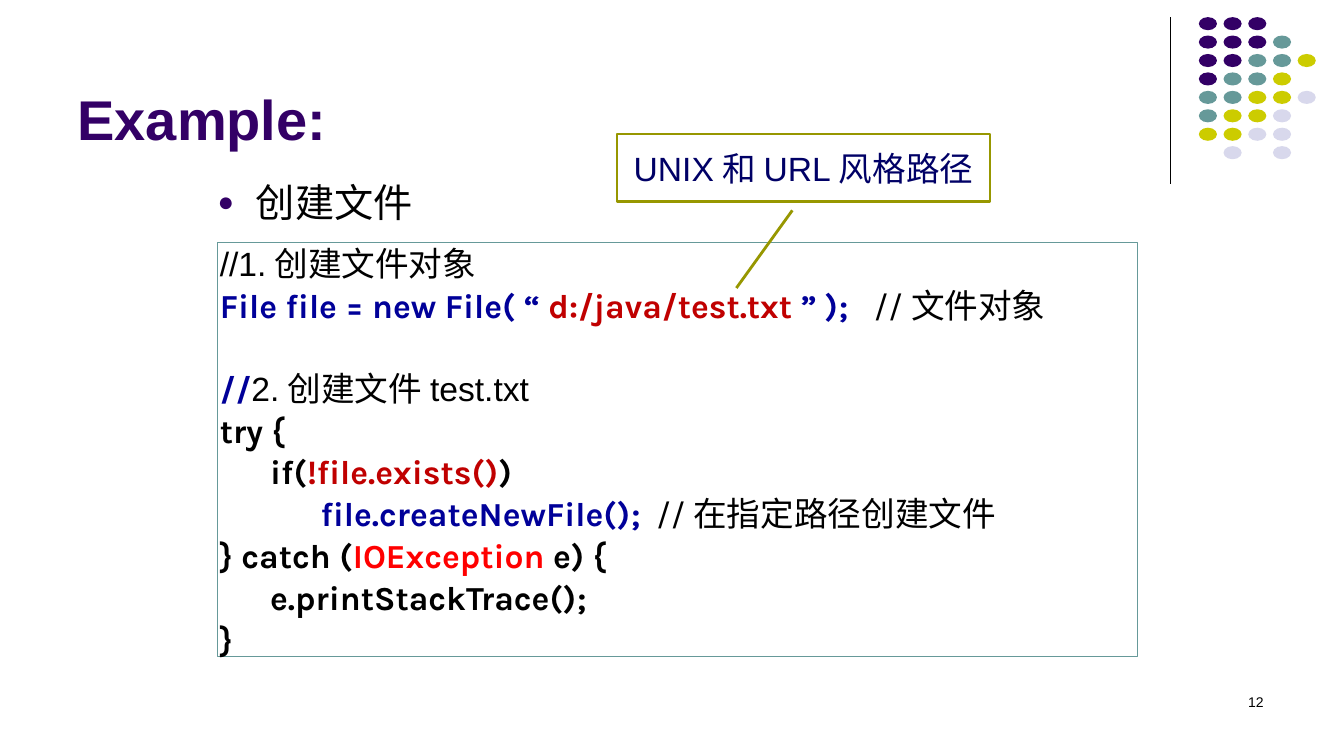
from lxml.etree import SubElement
from pptx import Presentation
from pptx.dml.color import RGBColor
from pptx.enum.shapes import MSO_CONNECTOR as CONN, MSO_SHAPE as SHAPE
from pptx.enum.text import MSO_ANCHOR as ANCHOR, PP_ALIGN as ALIGN
from pptx.oxml.ns import qn
from pptx.util import Inches, Pt

PURPLE, TEAL, LIME, LILAC = "330066", "669999", "CCCC00", "D8D8EC"
BLACK, BLUE, NAVY = "000000", "000099", "000066"
CRIMSON, RED, OLIVE = "C00000", "FF0000", "979700"

DOT_COLORS = {"P": PURPLE, "T": TEAL, "L": LIME, "S": LILAC}
DOT_ROWS = ["PPP", "PPPT", "PPTTL", "PTTL", "TTLLS", "TLLS", "LLSS", " S S"]

# Left margin and first-line indent of each code level
CODE_INDENTS = [(0.38, -0.38), (0.81, -0.31), (1.25, -0.25)]
CODE_GAP = 4
BLANK_LINE = 33


def color(value):
    return RGBColor.from_string(value)


def plain(text, fill=BLACK, font="Arial"):
    return text, fill, font, False


def code(text, fill=BLACK):
    return text, fill, "Karla", True


# Level, space before, runs
CODE_LINES = [
    (0, CODE_GAP, [plain("//1.创建文件对象")]),
    (0, CODE_GAP, [code("File file = new File(“", BLUE), code("d:/java/test.txt", CRIMSON),
                   code("”);   ", BLUE), plain("//文件对象", font="Karla")]),
    (0, BLANK_LINE, [code("//", BLUE), plain("2.创建文件test.txt")]),
    (0, CODE_GAP, [code("try {")]),
    (1, CODE_GAP, [code("if("), code("!file.exists()", CRIMSON), code(")")]),
    (2, CODE_GAP, [code("file.createNewFile();\t", BLUE),
                   plain(" //在指定路径创建文件", font="Karla")]),
    (0, CODE_GAP, [code("} catch ("), code("IOException", RED), code(" e) {")]),
    (1, CODE_GAP, [code("e.printStackTrace();")]),
    (0, CODE_GAP, [code("}")]),
]


class SlideBuilder:
    def __init__(self, slide):
        self.slide = slide
        self.shapes = slide.shapes

    def line(self, x1, y1, x2, y2, stroke, width):
        cn = self.shapes.add_connector(CONN.STRAIGHT, Inches(x1), Inches(y1),
                                       Inches(x2), Inches(y2))
        cn.line.color.rgb = color(stroke)
        cn.line.width = Pt(width)
        SubElement(cn._element.spPr, qn("a:effectLst"))

    def shape(self, kind, x, y, w, h, fill=None, stroke=None, width=0.75, parent=None):
        sp = (parent or self.slide).shapes.add_shape(
            kind, Inches(x), Inches(y), Inches(w), Inches(h))
        sp.shadow.inherit = False
        if fill:
            sp.fill.solid()
            sp.fill.fore_color.rgb = color(fill)
        else:
            sp.fill.background()
        if stroke:
            sp.line.color.rgb = color(stroke)
            sp.line.width = Pt(width)
        else:
            sp.line.fill.background()
        sp.text_frame.word_wrap = True
        return sp

    def textbox(self, x, y, w, h, anchor=ANCHOR.TOP):
        tf = self.shapes.add_textbox(Inches(x), Inches(y), Inches(w), Inches(h)).text_frame
        tf.word_wrap = True
        tf.vertical_anchor = anchor
        return tf

    def runs(self, p, parts, size, align=ALIGN.LEFT):
        """Add (text, colour, font, bold) parts to a paragraph."""
        p.alignment = align
        for text, fill, font, bold in parts:
            r = p.add_run()
            r.text = text
            r.font.size = Pt(size)
            r.font.bold = bold
            r.font.color.rgb = color(fill)
            r.font.name = font
            SubElement(r.font._element, qn("a:ea"), typeface=font)

    def indent(self, p, left, first):
        pPr = p._p.get_or_add_pPr()
        pPr.set("marL", str(Inches(left)))
        pPr.set("indent", str(Inches(first)))

    def bullet(self, p, char, fill, percent):
        pPr = p._p.get_or_add_pPr()
        SubElement(SubElement(pPr, qn("a:buClr")), qn("a:srgbClr"), val=fill)
        SubElement(pPr, qn("a:buSzPct"), val=str(percent * 1000))
        SubElement(pPr, qn("a:buFont"), typeface="Arial")
        SubElement(pPr, qn("a:buChar"), char=char)

    def dots(self, x, y, step_x, step_y):
        group = self.shapes.add_group_shape()
        for row, keys in enumerate(DOT_ROWS):
            for col, key in enumerate(keys):
                if key in DOT_COLORS:
                    self.shape(SHAPE.OVAL, x + col * step_x, y + row * step_y, 0.18, 0.13,
                               fill=DOT_COLORS[key], parent=group)

    def code_box(self, x, y, w, h):
        tf = self.shape(SHAPE.RECTANGLE, x, y, w, h, stroke=TEAL).text_frame
        tf.vertical_anchor = ANCHOR.TOP
        tf.margin_left = tf.margin_right = Inches(0.02)
        for i, (level, gap, parts) in enumerate(CODE_LINES):
            p = tf.add_paragraph() if i else tf.paragraphs[0]
            p.level = level
            p.line_spacing = 0.9
            p.space_before = Pt(gap)
            self.indent(p, *CODE_INDENTS[level])
            self.runs(p, parts, 24)

    def callout(self, x, y, w, h, pointer, text):
        sp = self.shape(SHAPE.LINE_CALLOUT_1, x, y, w, h, stroke=OLIVE, width=2)
        for i, value in enumerate(pointer):
            sp.adjustments[i] = value
        sp.text_frame.vertical_anchor = ANCHOR.MIDDLE
        self.runs(sp.text_frame.paragraphs[0], [plain(text, NAVY)], 24, ALIGN.CENTER)


def main():
    prs = Presentation()
    prs.slide_width, prs.slide_height = Inches(13.33), Inches(7.5)
    s = SlideBuilder(prs.slides.add_slide(prs.slide_layouts[6]))

    s.line(11.61, 0.17, 11.61, 1.83, BLACK, 0.75)
    s.dots(11.89, 0.17, 0.98 / 4, 1.28 / 7)

    title = s.textbox(0.67, 0.13, 11, 1.42, ANCHOR.BOTTOM)
    s.runs(title.paragraphs[0], [("Example:", PURPLE, "Arial", True)], 40)

    topic = s.textbox(2.06, 1.72, 9, 0.65).paragraphs[0]
    s.indent(topic, 0.38, -0.38)
    s.bullet(topic, "●", PURPLE, 70)
    s.runs(topic, [plain("创建文件")], 28)

    number = s.textbox(9.56, 6.83, 3.11, 0.5)
    s.runs(number.paragraphs[0], [plain("12 ")], 10, ALIGN.RIGHT)

    s.code_box(2.16, 2.41, 9.12, 4.1)
    s.callout(6.12, 1.33, 3.7, 0.67, (1.13, 0.47, 2.28, 0.32), "UNIX和URL风格路径")

    prs.save("out.pptx")


if __name__ == "__main__":
    main()
